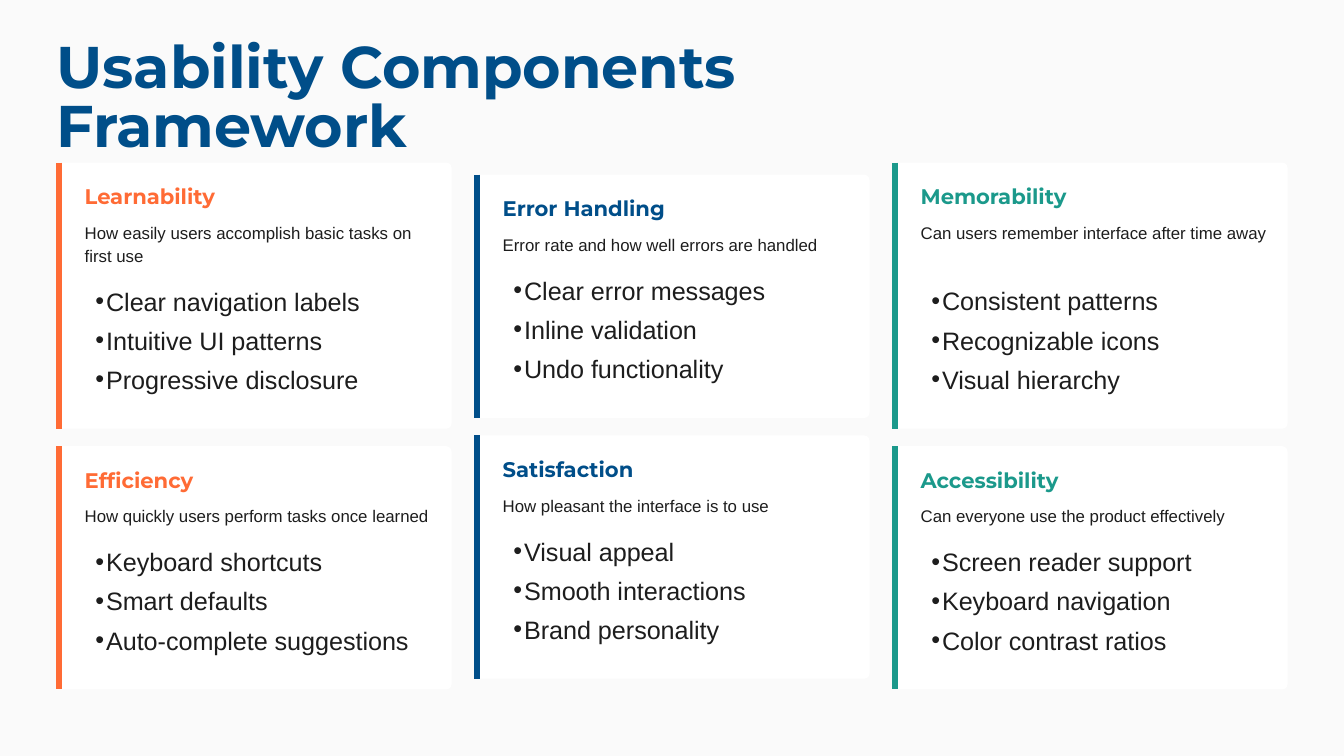
import pptx
import pptx.dml.color
import pptx.enum.shapes
import pptx.enum.text
import pptx.oxml
import pptx.oxml.ns
import pptx.util

Inches = pptx.util.Inches
Pt = pptx.util.Pt

COLORS = {
    "background": "FAFAFA",
    "card": "FFFFFF",
    "body": "1D1D1D",
    "orange": "FF6B35",
    "blue": "004E89",
    "green": "1B998B",
}
SLIDE_WIDTH = 10
SLIDE_HEIGHT = SLIDE_WIDTH * 9 / 16
CARD_WIDTH = 2.94
COLUMN_STEP = 3.11
ROW_GAP = 0.13
TALL_SUMMARY, SHORT_SUMMARY = 0.35, 0.18

COLUMNS = [
    ("orange", 1.21, [
        ("Learnability", "How easily users accomplish basic tasks on first use", TALL_SUMMARY,
         ["Clear navigation labels", "Intuitive UI patterns", "Progressive disclosure"]),
        ("Efficiency", "How quickly users perform tasks once learned", SHORT_SUMMARY,
         ["Keyboard shortcuts", "Smart defaults", "Auto-complete suggestions"]),
    ]),
    ("blue", 1.3, [
        ("Error Handling", "Error rate and how well errors are handled", SHORT_SUMMARY,
         ["Clear error messages", "Inline validation", "Undo functionality"]),
        ("Satisfaction", "How pleasant the interface is to use", SHORT_SUMMARY,
         ["Visual appeal", "Smooth interactions", "Brand personality"]),
    ]),
    ("green", 1.21, [
        ("Memorability", "Can users remember interface after time away", TALL_SUMMARY,
         ["Consistent patterns", "Recognizable icons", "Visual hierarchy"]),
        ("Accessibility", "Can everyone use the product effectively", SHORT_SUMMARY,
         ["Screen reader support", "Keyboard navigation", "Color contrast ratios"]),
    ]),
]


def rgb(name):
    return pptx.dml.color.RGBColor.from_string(COLORS[name])


def place(holder, left, top, width, height):
    holder.left, holder.top = Inches(left), Inches(top)
    holder.width, holder.height = Inches(width), Inches(height)


def add_bullet(paragraph):
    properties = paragraph._p.get_or_add_pPr()
    properties.set("marL", str(Inches(0.08)))
    properties.set("indent", str(Inches(-0.08)))
    for mark in ('buFont {} typeface="Arial"', 'buChar {} char="•"'):
        properties.append(pptx.oxml.parse_xml(
            f'<a:{mark.format(pptx.oxml.ns.nsdecls("a"))}/>'))


def write_text(holder, lines, size, color, leading, font="Arial", bold=False,
               after=0, inset=0, bullets=False):
    frame = holder.text_frame
    frame.word_wrap = True
    frame.auto_size = pptx.enum.text.MSO_AUTO_SIZE.NONE
    frame.vertical_anchor = pptx.enum.text.MSO_ANCHOR.TOP
    frame.margin_left = Inches(inset)
    frame.margin_top = frame.margin_right = frame.margin_bottom = 0
    frame.text = "\n".join(lines)
    for paragraph in frame.paragraphs:
        paragraph.alignment = pptx.enum.text.PP_ALIGN.LEFT
        paragraph.line_spacing = Pt(leading)
        paragraph.space_before = Pt(0)
        paragraph.space_after = Pt(after)
        if bullets:
            add_bullet(paragraph)
        for run in paragraph.runs:
            run.font.name = font
            run.font.size = Pt(size)
            run.font.bold = bold
            run.font.color.rgb = rgb(color)


def add_label(slide, text, left, top, width, height, **text_format):
    label = slide.shapes.add_textbox(
        Inches(left), Inches(top), Inches(width), Inches(height))
    write_text(label, [text], after=6, **text_format)


def add_panel(slide, left, top, height, accent):
    panel = slide.shapes.add_shape(
        pptx.enum.shapes.MSO_SHAPE.ROUNDED_RECTANGLE,
        Inches(left), Inches(top), Inches(CARD_WIDTH), Inches(height))
    panel.adjustments[0] = 0.04 / height
    panel.shadow.inherit = False
    panel.fill.solid()
    panel.fill.fore_color.rgb = rgb("card")
    panel.line.fill.background()

    edge = slide.shapes.add_connector(
        pptx.enum.shapes.MSO_CONNECTOR.STRAIGHT,
        Inches(left + 0.02), Inches(top), Inches(left + 0.02), Inches(top + height))
    edge.line.color.rgb = rgb(accent)
    edge.line.width = Pt(3)
    edge._element.spPr.append(pptx.oxml.parse_xml(
        f'<a:effectLst {pptx.oxml.ns.nsdecls("a")}/>'))


def add_examples(slide, examples, spare_bodies, left, top):
    if spare_bodies:
        example_list = spare_bodies.pop(0)
        slide.shapes._spTree.append(example_list._element)
    else:
        example_list = slide.shapes.add_textbox(0, 0, 0, 0)
    place(example_list, left, top, 2.57, 0.96)
    write_text(example_list, examples, size=13.5, color="body", leading=21,
               inset=0.08, bullets=True)


def add_card(slide, component, spare_bodies, left, top, accent):
    heading, summary, summary_height, examples = component
    height = 1.63 + summary_height
    text_left = left + 0.21
    add_panel(slide, left, top, height, accent)
    add_label(slide, heading, text_left, top + 0.17, 1.32, 0.17,
              size=11.25, color=accent, leading=12.5, font="Montserrat", bold=True)
    add_label(slide, summary, text_left, top + 0.42, 2.62, summary_height,
              size=9, color="body", leading=12.6)
    add_examples(slide, examples, spare_bodies, text_left, top + 0.5 + summary_height)
    return top + height + ROW_GAP


def main():
    deck = pptx.Presentation()
    deck.slide_width, deck.slide_height = Inches(SLIDE_WIDTH), Inches(SLIDE_HEIGHT)
    slide = deck.slides.add_slide(deck.slide_layouts.get_by_name("Comparison"))
    slide.background.fill.solid()
    slide.background.fill.fore_color.rgb = rgb("background")

    headline = slide.shapes.title
    place(headline, 0.42, 0.31, 7.22, 0.44)
    write_text(headline, ["Usability Components Framework"], size=31.5, color="blue",
               leading=31.5, font="Montserrat", bold=True)

    spare_bodies = [holder for holder in slide.placeholders
                    if holder.placeholder_format.idx in (1, 2, 3, 4)]
    for column, (accent, top, components) in enumerate(COLUMNS):
        left = 0.42 + column * COLUMN_STEP
        for component in components:
            top = add_card(slide, component, spare_bodies, left, top, accent)

    deck.save("out.pptx")


if __name__ == "__main__":
    main()
